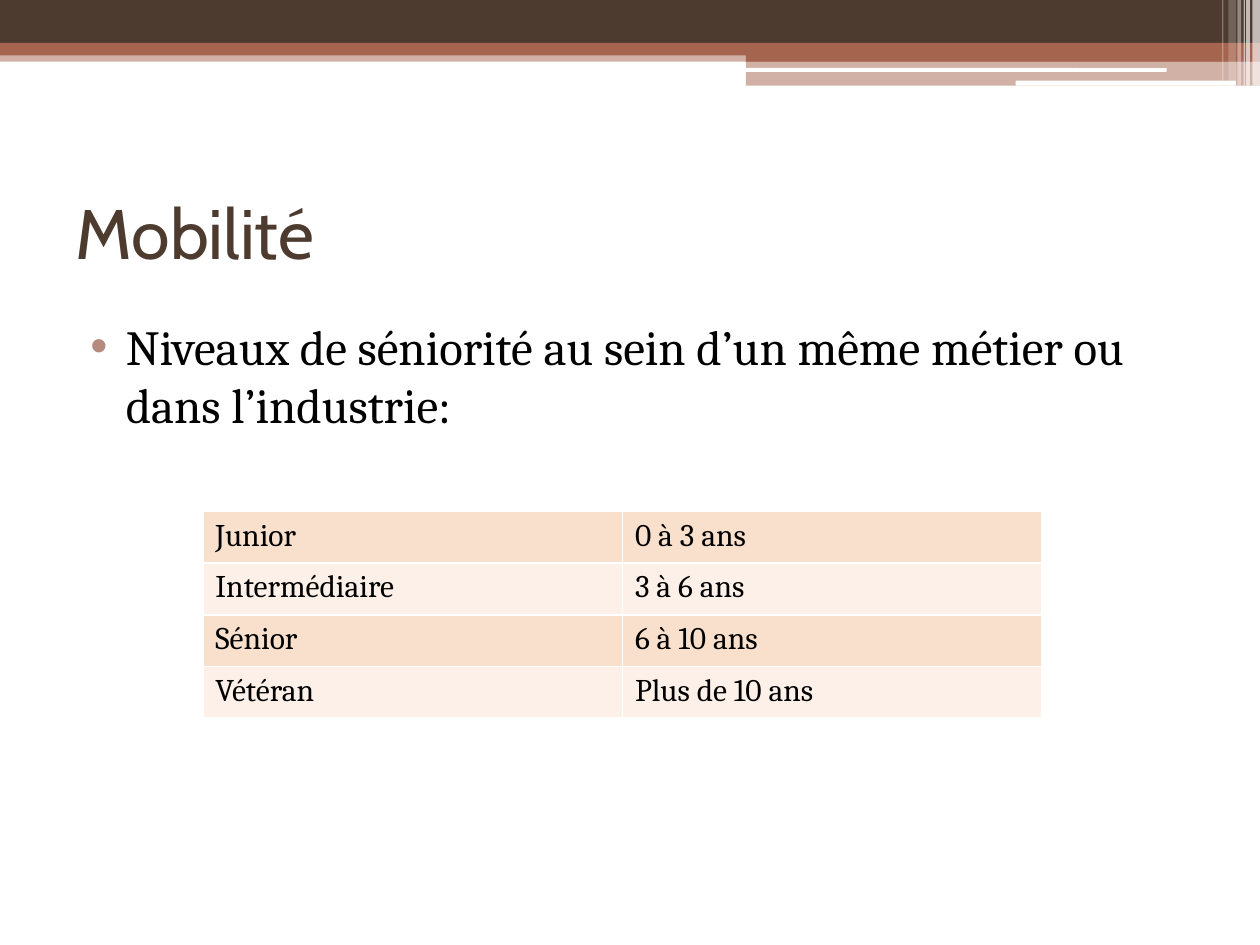
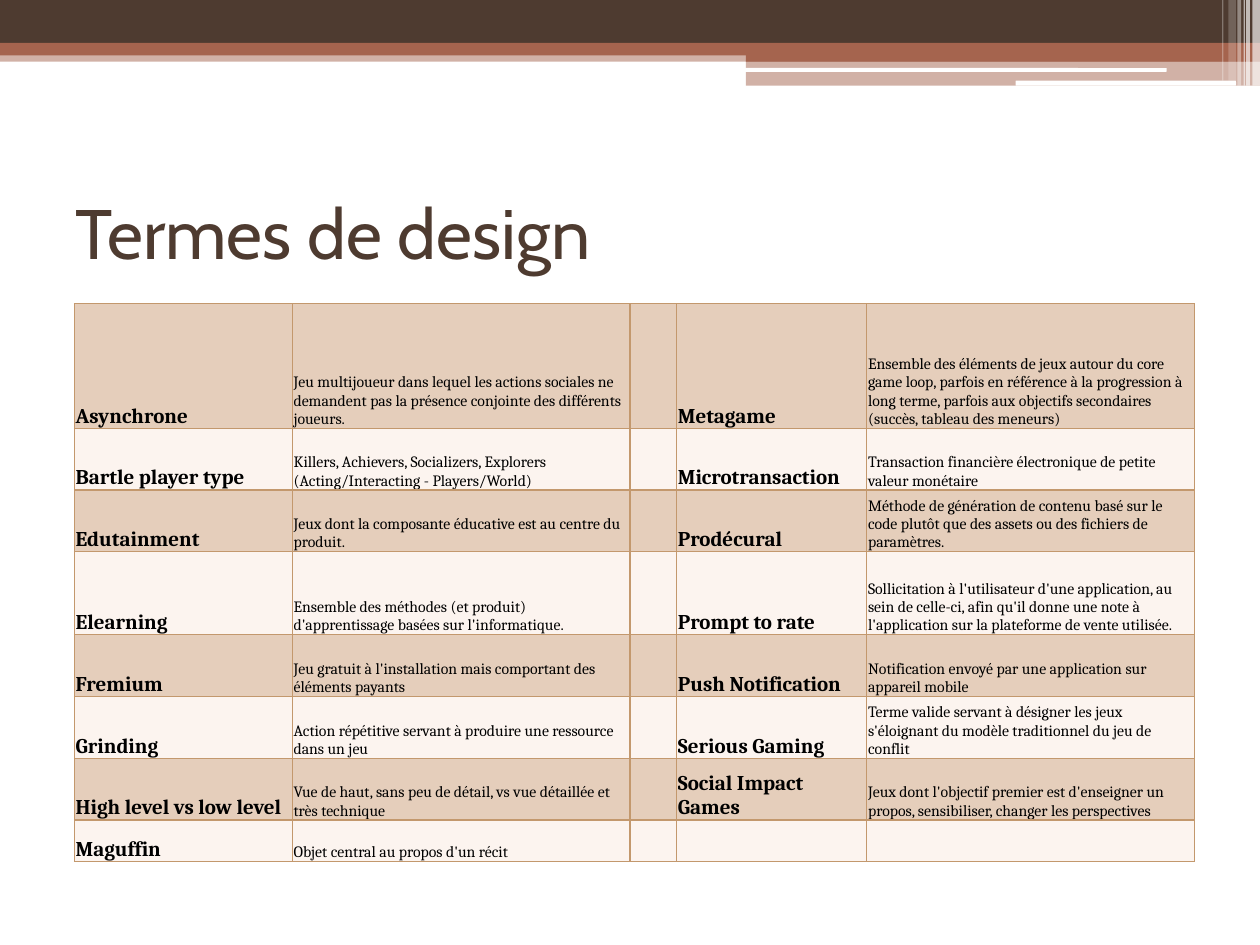
from lxml import etree
from pptx import Presentation
from pptx.dml.color import RGBColor
from pptx.enum.shapes import MSO_SHAPE
from pptx.enum.text import MSO_ANCHOR, PP_ALIGN
from pptx.oxml.ns import qn
from pptx.util import Inches, Pt

RECT = MSO_SHAPE.RECTANGLE
ROUND = MSO_SHAPE.ROUNDED_RECTANGLE
MIDDLE, TOP, BOTTOM = MSO_ANCHOR.MIDDLE, MSO_ANCHOR.TOP, MSO_ANCHOR.BOTTOM
LEFT = PP_ALIGN.LEFT

BROWN = RGBColor(0x4E, 0x3B, 0x30)
RUST = RGBColor(0xA5, 0x64, 0x4E)
ROSE = RGBColor(0xB5, 0x8B, 0x80)
TAN = RGBColor(0xC3, 0x98, 0x6D)
SAND = RGBColor(0xE5, 0xCE, 0xBB)
CREAM = RGBColor(0xFC, 0xF4, 0xEF)
PEACH = RGBColor(0xF9, 0xE0, 0xCD)
PALE = RGBColor(0xFC, 0xF0, 0xE8)
WHITE = RGBColor(0xFF, 0xFF, 0xFF)
BLACK = RGBColor(0, 0, 0)
HEAD, BODY = "Cabin", "Cambria"

BANDS = [
    (RECT, 0, 0.4, 10, 0.09, RUST, 50),
    (RECT, 0, 0, 10, 0.34, BROWN, 100),
    (RECT, 0, 0.34, 10, 0.1, RUST, 100),
    (RECT, 5.92, 0.39, 4.08, 0.1, RUST, 100),
    (RECT, 5.92, 0.48, 4.08, 0.2, RUST, 50),
    (ROUND, 5.91, 0.54, 3.35, 0.03, WHITE, 100),
    (ROUND, 8.06, 0.64, 1.75, 0.04, WHITE, 100),
    (RECT, 9.94, 0, 0.06, 0.68, WHITE, 65),
    (RECT, 9.89, 0, 0.03, 0.68, WHITE, 65),
    (RECT, 9.87, 0, 0.01, 0.68, WHITE, 60),
    (RECT, 9.82, 0, 0.03, 0.68, WHITE, 40),
    (RECT, 9.75, 0, 0.06, 0.64, WHITE, 20),
    (RECT, 9.7, 0, 0.01, 0.64, WHITE, 30),
]

LEVELS = [
    ("Junior", "0 à 3 ans"),
    ("Intermédiaire", "3 à 6 ans"),
    ("Sénior", "6 à 10 ans"),
    ("Vétéran", "Plus de 10 ans"),
]

TERMS = [
    ("Asynchrone",
     "Jeu multijoueur dans lequel les actions sociales ne demandent pas "
     "la présence conjointe des différents joueurs.",
     "", "Metagame",
     "Ensemble des éléments de jeux autour du core game loop, parfois en "
     "référence à la progression à long terme, parfois aux objectifs "
     "secondaires (succès, tableau des meneurs)"),
    ("Bartle player type",
     "Killers, Achievers, Socializers, Explorers "
     "(Acting/Interacting - Players/World)",
     "", "Microtransaction",
     "Transaction financière électronique de petite valeur monétaire"),
    ("Edutainment",
     "Jeux dont la composante éducative est au centre du produit.",
     "", "Prodécural",
     "Méthode de génération de contenu basé sur le code plutôt que des "
     "assets ou des fichiers de paramètres."),
    ("Elearning",
     "Ensemble des méthodes (et produit) d'apprentissage basées sur "
     "l'informatique.",
     "", "Prompt to rate",
     "Sollicitation à l'utilisateur d'une application, au sein de celle-ci, "
     "afin qu'il donne une note à l'application sur la plateforme de vente "
     "utilisée."),
    ("Fremium",
     "Jeu gratuit à l'installation mais comportant des éléments payants",
     "", "Push Notification",
     "Notification envoyé par une application sur appareil mobile"),
    ("Grinding",
     "Action répétitive servant à produire une ressource dans un jeu",
     "", "Serious Gaming",
     "Terme valide servant à désigner les jeux s'éloignant du modèle "
     "traditionnel du jeu de conflit"),
    ("High level vs low level",
     "Vue de haut, sans peu de détail, vs vue détaillée et très technique",
     "", "Social Impact Games",
     "Jeux dont l'objectif premier est d'enseigner un propos, sensibiliser, "
     "changer les perspectives"),
    ("Maguffin", "Objet central au propos d'un récit", "", "", ""),
]


def style(para, size, color=BLACK, name=BODY, bold=False):
    """Set the font of a left-aligned paragraph."""
    para.alignment = LEFT
    font = para.font
    font.name, font.size, font.bold = name, Pt(size), bold
    font.color.rgb = color


def add_band(slide, kind, x, y, w, h, color, alpha):
    """Draw one flat band and return it."""
    band = slide.shapes.add_shape(kind, Inches(x), Inches(y), Inches(w), Inches(h))
    band.shadow.inherit = False
    band.line.fill.background()
    band.fill.solid()
    band.fill.fore_color.rgb = color
    if alpha < 100:
        tone = band.element.spPr.find(".//" + qn("a:srgbClr"))
        etree.SubElement(tone, qn("a:alpha"), val=str(alpha * 1000))
    return band


def set_bands(slide):
    """Put the shared bands on the layout of the slide."""
    layout = slide.slide_layout
    for holder in list(layout.placeholders)[1:]:
        holder.element.getparent().remove(holder.element)
    for band in BANDS:
        layout.shapes.element.append(add_band(slide, *band).element)


def set_title(slide, text):
    """Place and format the slide title."""
    title = slide.shapes.title
    title.left, title.top = Inches(0.5), Inches(1.25)
    title.width, title.height = Inches(9), Inches(1.17)
    frame = title.text_frame
    frame.text = text
    frame.vertical_anchor = MIDDLE
    style(frame.paragraphs[0], 40, BROWN, HEAD)


def add_point(slide, text):
    """Add the body box with its bulleted line."""
    box = slide.shapes.add_textbox(Inches(0.5), Inches(2.46), Inches(9), Inches(4.73))
    frame = box.text_frame
    frame.word_wrap = True
    frame.text = text
    para = frame.paragraphs[0]
    props = para._p.get_or_add_pPr()
    props.set("marL", str(Inches(0.4)))
    props.set("indent", str(Inches(-0.28)))
    tint = etree.SubElement(props, qn("a:buClr"))
    etree.SubElement(tint, qn("a:srgbClr"), val=str(ROSE))
    etree.SubElement(props, qn("a:buFont"), typeface="Arial")
    etree.SubElement(props, qn("a:buChar"), char="•")
    style(para, 28)


def set_edges(cell, color, width):
    """Draw the four borders of a cell."""
    props = cell._tc.get_or_add_tcPr()
    for side in ("lnL", "lnR", "lnT", "lnB"):
        edge = etree.SubElement(props, qn("a:" + side), w=str(Pt(width)))
        fill = etree.SubElement(edge, qn("a:solidFill"))
        etree.SubElement(fill, qn("a:srgbClr"), val=str(color))


def add_grid(slide, x, y, cols, rows, data, fills, edge, width):
    """Add a table with alternating row fills and return it."""
    frame = slide.shapes.add_table(len(rows), len(cols), Inches(x), Inches(y),
                                   Inches(sum(cols)), Inches(sum(rows)))
    grid = frame.table
    grid.first_row = grid.horz_banding = False
    for col, size in zip(grid.columns, cols):
        col.width = Inches(size)
    for i, (row, size) in enumerate(zip(grid.rows, rows)):
        row.height = Inches(size)
        for cell, text in zip(row.cells, data[i]):
            cell.text = text
            set_edges(cell, edge, width)
            cell.fill.solid()
            cell.fill.fore_color.rgb = fills[i % 2]
    return grid


def add_levels(slide):
    """Add the table of seniority levels."""
    grid = add_grid(slide, 1.61, 4.06, [3.33] * 2, [0.41] * 4, LEVELS,
                    (PEACH, PALE), WHITE, 1)
    for cell in grid.iter_cells():
        cell.vertical_anchor = TOP
        style(cell.text_frame.paragraphs[0], 18)


def add_terms(slide):
    """Add the glossary table of bold terms and small definitions."""
    rows = [0.99, 0.49, 0.49, 0.66, 0.49, 0.49, 0.49, 0.33]
    grid = add_grid(slide, 0.59, 2.41, [1.73, 2.68, 0.37, 1.51, 2.6], rows,
                    TERMS, (SAND, CREAM), TAN, 0.75)
    for row in grid.rows:
        for j, cell in enumerate(row.cells):
            cell.vertical_anchor = BOTTOM
            cell.margin_left = cell.margin_right = cell.margin_top = Inches(0.01)
            cell.margin_bottom = 0
            term = j in (0, 3)
            style(cell.text_frame.paragraphs[0], 12 if term else 9, bold=term)


def main():
    """Build and save the two slides."""
    deck = Presentation()
    deck.slide_width, deck.slide_height = Inches(10), Inches(7.5)
    layout = deck.slide_layouts[5]

    slide = deck.slides.add_slide(layout)
    set_bands(slide)
    set_title(slide, "Mobilité")
    add_point(slide, "Niveaux de séniorité au sein d’un même métier ou dans l’industrie:")
    add_levels(slide)

    slide = deck.slides.add_slide(layout)
    set_title(slide, "Termes de design")
    add_terms(slide)

    deck.save("out.pptx")


if __name__ == "__main__":
    main()
